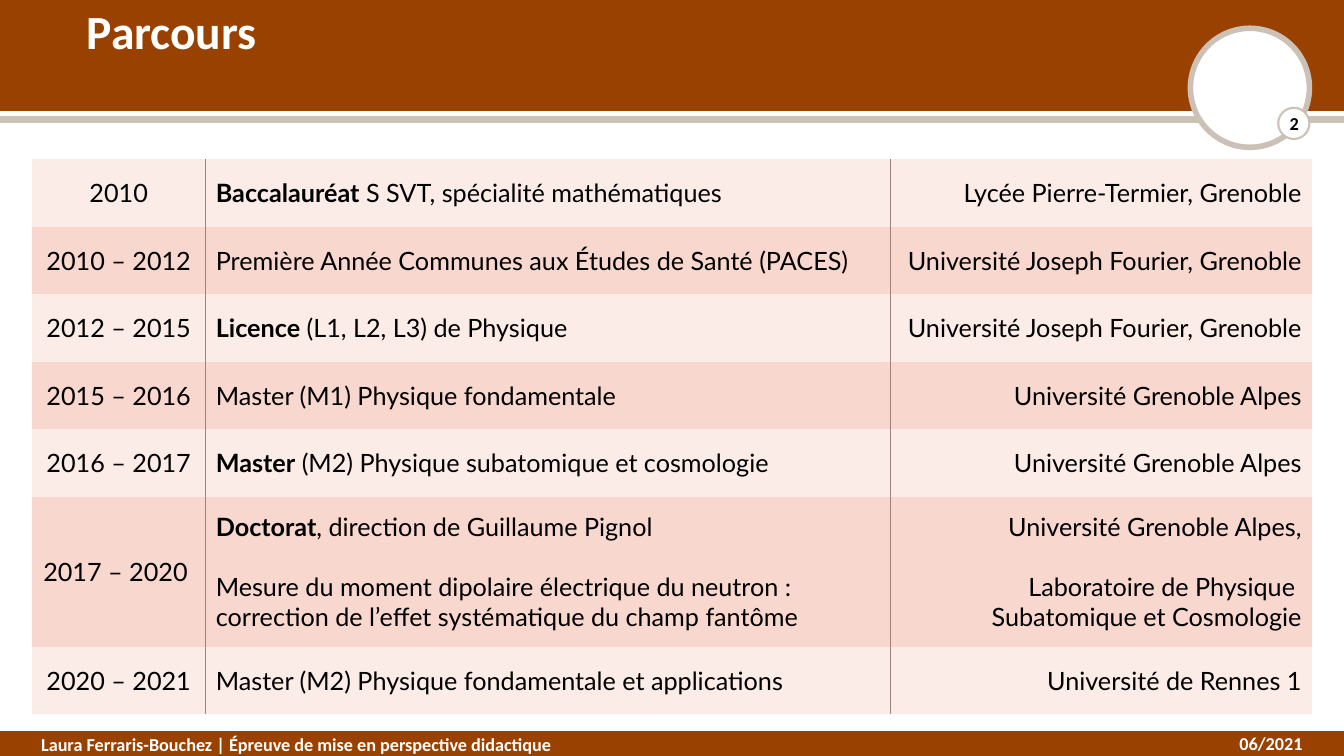
"""Build the "Parcours" slide: a banded table of studies between two brown bars."""
from lxml import etree
from pptx import Presentation
from pptx.dml import color
from pptx.enum import shapes, text
from pptx.util import Pt

BROWN, SAND, WHITE, BLACK = "994100", "CCC1B7", "FFFFFF", "000000"
BANDS = ["FCECE8", "F8D7CE"]
RULE = "A0807A"
NS = "http://schemas.openxmlformats.org/drawingml/2006/main"
LEFT, MID, RIGHT = text.PP_ALIGN.LEFT, text.PP_ALIGN.CENTER, text.PP_ALIGN.RIGHT
TOP, CENTRE = text.MSO_ANCHOR.TOP, text.MSO_ANCHOR.MIDDLE
RECT, OVAL = shapes.MSO_SHAPE.RECTANGLE, shapes.MSO_SHAPE.OVAL


def rgb(code):
    return color.RGBColor.from_string(code)


def write(para, words, size, face, code, bold):
    run = para.add_run()
    run.text = words
    font = run.font
    font.size, font.name, font.bold = Pt(size), face, bold
    font.color.rgb = rgb(code)


prs = Presentation()
prs.slide_width, prs.slide_height = Pt(960), Pt(540)
slide = prs.slides.add_slide(prs.slide_layouts[5])
tree = slide.shapes

for kind, x, y, w, h, fill, line, width in [
    (RECT, 0, 83.5, 960, 3.6, SAND, SAND, 1),
    (RECT, 0, 0, 960, 79.2, BROWN, BROWN, 1),
    (RECT, 0, 522.7, 960, 17.3, BROWN, BROWN, 1),
    (OVAL, 850.3, 20.2, 85, 85, WHITE, SAND, 4),
    (OVAL, 913, 77, 22.3, 22.3, WHITE, SAND, 1.5),
]:
    part = tree.add_shape(kind, Pt(x), Pt(y), Pt(w), Pt(h))
    part.shadow.inherit = False
    part.fill.solid()
    part.fill.fore_color.rgb = rgb(fill)
    part.line.color.rgb = rgb(line)
    part.line.width = Pt(width)

title = tree.title
title.left, title.top, title.width, title.height = Pt(54.7), Pt(0), Pt(851), Pt(48.2)
title.text_frame.vertical_anchor = CENTRE
head = title.text_frame.paragraphs[0]
head.alignment, head.line_spacing = LEFT, 0.9
write(head, "Parcours", 34, "Calibri", WHITE, True)
tree._spTree.append(title._element)

for words, x, y, w, h, align, anchor, code in [
    ("Laura Ferraris-Bouchez | Épreuve de mise en perspective didactique",
     22.3, 520.6, 449.3, 17.3, LEFT, TOP, WHITE),
    ("2", 906.5, 75.6, 36, 24.5, MID, CENTRE, BLACK),
    ("06/2021", 721.4, 522.7, 216, 15.8, RIGHT, CENTRE, WHITE),
]:
    frame = tree.add_textbox(Pt(x), Pt(y), Pt(w), Pt(h)).text_frame
    frame.word_wrap = True
    frame.vertical_anchor = anchor
    frame.paragraphs[0].alignment = align
    write(frame.paragraphs[0], words, 13, "Calibri", code, True)

# Each entry: years, degree in bold, rest of the line, place, further lines
steps = [
    ("2010", "Baccalauréat", " S SVT, spécialité mathématiques",
     "Lycée Pierre-Termier, Grenoble"),
    ("2010 – 2012", "", "Première Année Communes aux Études de Santé (PACES)",
     "Université Joseph Fourier, Grenoble"),
    ("2012 – 2015", "Licence", " (L1, L2, L3) de Physique",
     "Université Joseph Fourier, Grenoble"),
    ("2015 – 2016", "", "Master (M1) Physique fondamentale", "Université Grenoble Alpes"),
    ("2016 – 2017", "Master", " (M2) Physique subatomique et cosmologie",
     "Université Grenoble Alpes"),
    ("2017 – 2020 ", "Doctorat", ", direction de Guillaume Pignol",
     "Université Grenoble Alpes,"),
    ("2020 – 2021", "", "Master (M2) Physique fondamentale et applications",
     "Université de Rennes 1"),
]
THESIS = 5
more = {
    1: ["Mesure du moment dipolaire électrique du neutron : "
        "correction de l’effet systématique du champ fantôme"],
    2: ["Laboratoire de Physique ", "Subatomique et Cosmologie"],
}

grid = tree.add_table(len(steps), 3, Pt(22.6), Pt(113.6), Pt(914.4), Pt(397.2))
table = grid.table
table.first_row = table.horz_banding = False
style = table._tbl.tblPr.find(f"{{{NS}}}tableStyleId")
style.text = "{2D5ABB26-0587-4C30-8999-92F81FD0307C}"
for col, width in zip(table.columns, [124.4, 489, 301]):
    col.width = Pt(width)

for i, (years, degree, rest, place) in enumerate(steps):
    table.rows[i].height = Pt(107.2 if i == THESIS else 48.25)
    cols = [[(years, False)], [(degree, True), (rest, False)], [(place, False)]]
    for j, (runs, align) in enumerate(zip(cols, [MID, LEFT, RIGHT])):
        cell = table.cell(i, j)
        cell.vertical_anchor = CENTRE
        cell.fill.solid()
        cell.fill.fore_color.rgb = rgb(BANDS[i % 2])
        para = cell.text_frame.paragraphs[0]
        para.alignment = align
        for words, bold in runs:
            if words:
                write(para, words, 18, "Lato", BLACK, bold)
        if i == THESIS and j in more:
            para = cell.text_frame.add_paragraph()
            para.alignment, para.space_before = align, Pt(21.6)
            for n, words in enumerate(more[j]):
                if n:
                    para.add_line_break()
                write(para, words, 18, "Lato", BLACK, False)
        if j < 2:
            side = "lnR" if j == 0 else "lnL"
            edge = etree.fromstring(
                f'<a:{side} xmlns:a="{NS}" w="{Pt(1)}"><a:solidFill>'
                f'<a:srgbClr val="{RULE}"/></a:solidFill></a:{side}>')
            cell._tc.get_or_add_tcPr().insert(0, edge)

prs.save("out.pptx")
